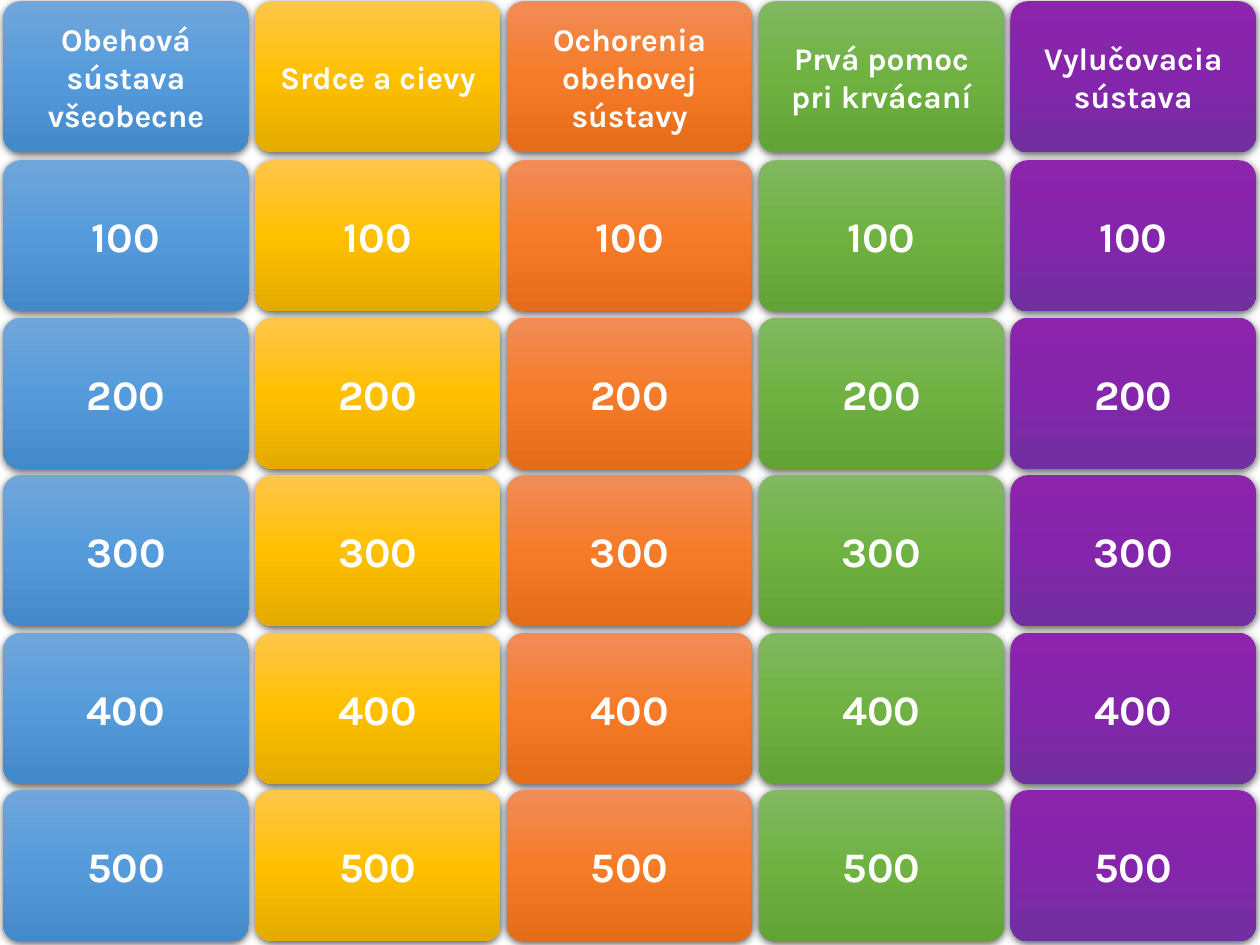
"""Build a quiz board with five topics and their point values."""
from pptx import Presentation
from pptx.dml.color import RGBColor
from pptx.enum.shapes import MSO_SHAPE
from pptx.enum.text import MSO_ANCHOR, PP_ALIGN
from pptx.oxml import parse_xml
from pptx.oxml.ns import nsdecls
from pptx.util import Pt

TOPICS = [
    ("Obehová sústava všeobecne", "blue"),
    ("Srdce a cievy", "yellow"),
    ("Ochorenia obehovej sústavy", "orange"),
    ("Prvá pomoc pri krvácaní", "green"),
    ("Vylučovacia sústava", "purple"),
]
POINTS = ["100", "200", "300", "400", "500"]

COLORS = {
    "blue": ("71A6DB", "559BDB", "448ACA"),
    "yellow": ("FFC64B", "FFC000", "E3AB00"),
    "orange": ("F18C57", "F67B28", "E56C19"),
    "green": ("81B861", "6FB242", "62A336"),
    "purple": ("8C24AC", "8525AB", "7030A0"),
    "text": "FFFFFF",
    "shadow": "000000",
}
FONT = "Karla"
HEADER_SIZE, POINTS_SIZE = 18, 24
TILE_WIDTH, TILE_HEIGHT = 140.4, 86.4
LEFT, COLUMN_STEP = 1.8, 143.9
HEADER_TOP, POINTS_TOP, ROW_STEP = 0.7, 91.6, 90
CORNER = 0.115


def style_tile(shape, stops):
    shape.line.fill.background()
    stop_xml = "".join(
        f'<a:gs pos="{index * 50000}"><a:srgbClr val="{color}"/></a:gs>'
        for index, color in enumerate(stops)
    )
    gradient = parse_xml(
        f'<a:gradFill {nsdecls("a")} rotWithShape="1"><a:gsLst>{stop_xml}</a:gsLst>'
        '<a:lin ang="5400000" scaled="0"/></a:gradFill>'
    )
    shadow = parse_xml(
        f'<a:effectLst {nsdecls("a")}><a:outerShdw blurRad="{Pt(4.5)}" dist="{Pt(1.5)}" '
        f'dir="5400000" algn="ctr" rotWithShape="0"><a:srgbClr val="{COLORS["shadow"]}">'
        '<a:alpha val="63000"/></a:srgbClr></a:outerShdw></a:effectLst>'
    )
    properties = shape.element.spPr
    properties.ln.addprevious(gradient)
    properties.append(shadow)


def add_tile(slide, left, top, text, size, stops):
    shape = slide.shapes.add_shape(
        MSO_SHAPE.ROUNDED_RECTANGLE, Pt(left), Pt(top), Pt(TILE_WIDTH), Pt(TILE_HEIGHT)
    )
    shape.adjustments[0] = CORNER
    style_tile(shape, stops)
    frame = shape.text_frame
    frame.word_wrap = True
    frame.vertical_anchor = MSO_ANCHOR.MIDDLE
    frame.text = text
    paragraph = frame.paragraphs[0]
    paragraph.alignment = PP_ALIGN.CENTER
    font = paragraph.runs[0].font
    font.name, font.size, font.bold = FONT, Pt(size), True
    font.color.rgb = RGBColor.from_string(COLORS["text"])


def main():
    presentation = Presentation()
    presentation.slide_width, presentation.slide_height = Pt(720), Pt(540)
    slide = presentation.slides.add_slide(presentation.slide_layouts[6])
    for column, (topic, color) in enumerate(TOPICS):
        left = LEFT + column * COLUMN_STEP
        add_tile(slide, left, HEADER_TOP, topic, HEADER_SIZE, COLORS[color])
        for row, points in enumerate(POINTS):
            top = POINTS_TOP + row * ROW_STEP
            add_tile(slide, left, top, points, POINTS_SIZE, COLORS[color])
    presentation.save("out.pptx")


if __name__ == "__main__":
    main()
